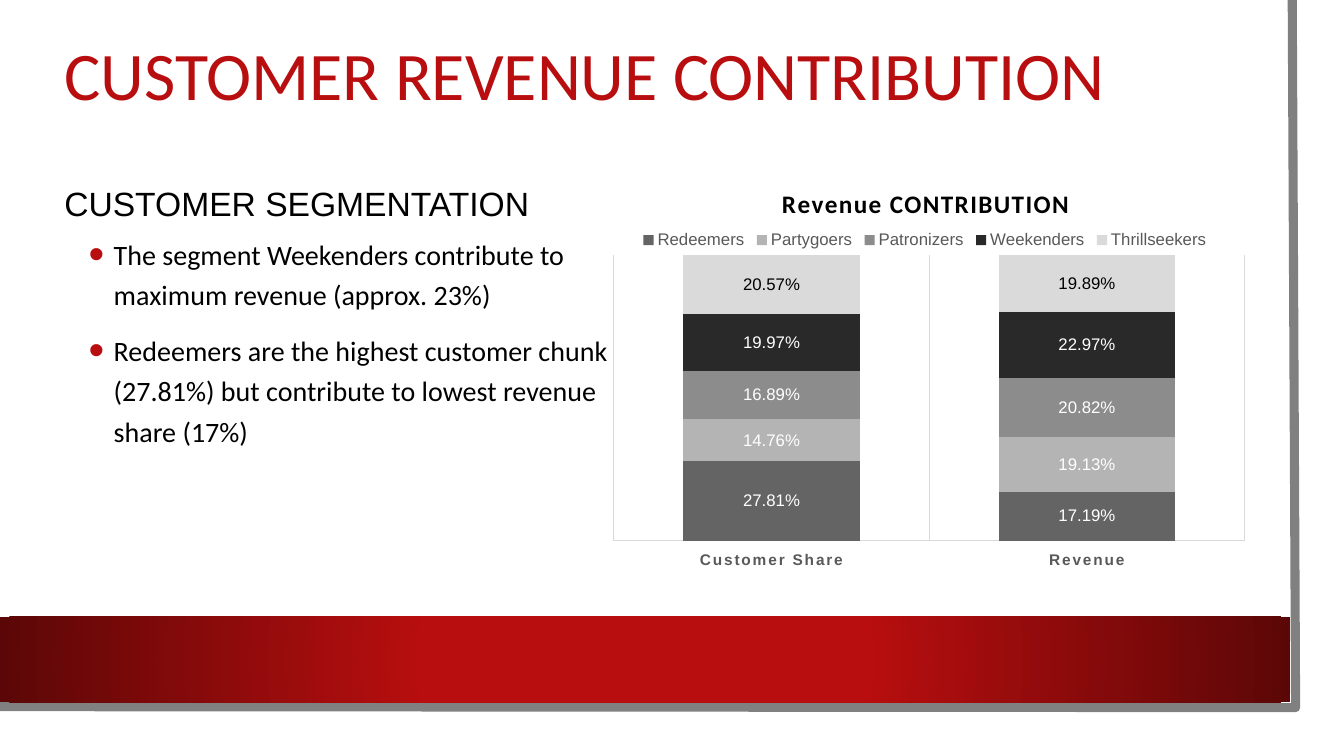
from pptx import Presentation
from pptx.chart.data import CategoryChartData
from pptx.dml.color import RGBColor
from pptx.enum.chart import (XL_CHART_TYPE, XL_LABEL_POSITION, XL_LEGEND_POSITION,
                             XL_TICK_LABEL_POSITION, XL_TICK_MARK)
from pptx.enum.shapes import MSO_SHAPE
from pptx.enum.text import MSO_ANCHOR
from pptx.oxml import parse_xml
from pptx.oxml.ns import nsdecls, qn
from pptx.util import Inches, Pt

WIDTH, HEIGHT = Inches(13.33), Inches(7.5)
RED = RGBColor(0xB8, 0x0E, 0x0F)
DARK_RED = RGBColor(0x5C, 0x07, 0x07)
BLACK = RGBColor(0, 0, 0)
WHITE = RGBColor(0xFF, 0xFF, 0xFF)
FRAME_GREY = RGBColor(0x80, 0x80, 0x80)
LABEL_GREY = RGBColor(0x59, 0x59, 0x59)
GRID_GREY = RGBColor(0xD9, 0xD9, 0xD9)

BULLETS = [
    "The segment Weekenders contribute to maximum revenue (approx. 23%)",
    "Redeemers are the highest customer chunk (27.81%) but contribute to "
    "lowest revenue share (17%)",
]
CATEGORIES = ["Customer Share", "Revenue"]
# Segment name, shares, fill, label colour
SEGMENTS = [
    ("Redeemers", (0.2781, 0.1719), RGBColor(0x64, 0x64, 0x64), WHITE),
    ("Partygoers", (0.1476, 0.1913), RGBColor(0xB4, 0xB4, 0xB4), WHITE),
    ("Patronizers", (0.1689, 0.2082), RGBColor(0x8C, 0x8C, 0x8C), WHITE),
    ("Weekenders", (0.1997, 0.2297), RGBColor(0x29, 0x29, 0x29), WHITE),
    ("Thrillseekers", (0.2057, 0.1989), RGBColor(0xDA, 0xDA, 0xDA), BLACK),
]


# The slide is a grid of 100 columns by 100 rows
def column(count):
    return round(WIDTH * count / 100)


def row(count):
    return round(HEIGHT * count / 100)


def cells(left, top, width, height):
    return column(left), row(top), column(width), row(height)


def apply(target, **values):
    for name, value in values.items():
        setattr(target, name, value)


def style_font(font, name, size, color, bold=False, spacing=0):
    apply(font, name=name, size=Pt(size), bold=bold)
    font.color.rgb = color
    if spacing:
        font._rPr.set("spc", str(spacing))


def add_panel(page, area, color):
    panel = page.shapes.add_shape(MSO_SHAPE.RECTANGLE, *cells(*area))
    panel.shadow.inherit = False
    panel.fill.solid()
    panel.fill.fore_color.rgb = color
    panel.line.fill.background()
    return panel


def add_glow(panel, inner, outer):
    """Radial gradient from the middle of the panel to its corners."""
    gradient = parse_xml(
        f'<a:gradFill {nsdecls("a")} rotWithShape="1"><a:gsLst>'
        f'<a:gs pos="34000"><a:srgbClr val="{inner}"/></a:gs>'
        f'<a:gs pos="100000"><a:srgbClr val="{outer}"/></a:gs></a:gsLst>'
        '<a:path path="circle"><a:fillToRect l="50000" t="50000" r="50000" b="50000"/>'
        '</a:path></a:gradFill>')
    solid = panel._element.spPr.find(qn("a:solidFill"))
    solid.getparent().replace(solid, gradient)


def add_frame(page, points, color, width):
    start, *rest = [(column(x), row(y)) for x, y in points]
    builder = page.shapes.build_freeform(*start)
    builder.add_line_segments(rest, close=False)
    frame = builder.convert_to_shape()
    frame.shadow.inherit = False
    frame.fill.background()
    frame.line.color.rgb = color
    frame.line.width = Pt(width)


def add_text_frame(page, area, anchor):
    frame = page.shapes.add_textbox(*cells(*area)).text_frame
    apply(frame, word_wrap=True, vertical_anchor=anchor)
    return frame


def write(para, text, font, **spacing):
    apply(para, **spacing)
    span = para.add_run()
    span.text = text
    style_font(span.font, *font)


def add_bullet(para, color):
    properties = para._p.get_or_add_pPr()
    properties.set("marL", str(Inches(0.49)))
    properties.set("indent", str(Inches(-0.25)))
    for mark in (f'<a:buClr {nsdecls("a")}><a:srgbClr val="{color}"/></a:buClr>',
                 f'<a:buSzPct {nsdecls("a")} val="160000"/>',
                 f'<a:buFont {nsdecls("a")} typeface="Arial"/>',
                 f'<a:buChar {nsdecls("a")} char="•"/>'):
        properties.append(parse_xml(mark))


def place(part, after=None, inner=False, **shares):
    """Fix a chart part's place as shares of the chart's size."""
    for layout in part.findall(qn("c:layout")):
        part.remove(layout)
    target = '<c:layoutTarget val="inner"/>' if inner else ""
    modes = "".join(f'<c:{side}Mode val="edge"/>' for side in "xy")
    sizes = "".join(f'<c:{side} val="{share}"/>' for side, share in shares.items())
    layout = parse_xml(f'<c:layout {nsdecls("c")}><c:manualLayout>{target}{modes}{sizes}'
                       '</c:manualLayout></c:layout>')
    if after:
        part.find(qn(after)).addnext(layout)
    else:
        part.insert(0, layout)


def style_series(series, fill, label_color):
    series.format.fill.solid()
    series.format.fill.fore_color.rgb = fill
    labels = series.data_labels
    apply(labels, show_value=True, position=XL_LABEL_POSITION.CENTER,
          number_format="0.00%", number_format_is_linked=False)
    style_font(labels.font, "Arial", 12, label_color)


def style_axes(chart):
    axis = chart.category_axis
    apply(axis, major_tick_mark=XL_TICK_MARK.NONE, minor_tick_mark=XL_TICK_MARK.NONE,
          tick_label_position=XL_TICK_LABEL_POSITION.LOW, has_major_gridlines=True)
    style_font(axis.tick_labels.font, "Arial", 11, LABEL_GREY, bold=True, spacing=120)
    for line in (axis.format.line, axis.major_gridlines.format.line):
        line.color.rgb = GRID_GREY
        line.width = Pt(0.75)
    apply(chart.value_axis, visible=False, has_major_gridlines=False)


def add_revenue_chart(page, area):
    data = CategoryChartData(number_format="0.00%")
    data.categories = CATEGORIES
    for name, shares, *_ in SEGMENTS:
        data.add_series(name, shares)
    chart = page.shapes.add_chart(
        XL_CHART_TYPE.COLUMN_STACKED_100, *cells(*area), data).chart
    style_font(chart.font, "Arial Narrow", 10, BLACK)

    # Title and legend
    apply(chart, has_title=True, has_legend=True)
    span = chart.chart_title.text_frame.paragraphs[0].add_run()
    span.text = "Revenue CONTRIBUTION"
    style_font(span.font, "Calibri", 18, BLACK, bold=True, spacing=100)
    place(chart.chart_title._element, after="c:tx", x=0.28, y=0.05)
    apply(chart.legend, position=XL_LEGEND_POSITION.TOP, include_in_layout=False)
    style_font(chart.legend.font, "Arial", 12, LABEL_GREY)
    place(chart.legend._element, after="c:legendPos", x=0.07, y=0.16, w=0.86, h=0.06)

    # Columns and axes
    plot = chart.plots[0]
    apply(plot, gap_width=79, overlap=100, vary_by_categories=False)
    for series, (_, _, fill, label_color) in zip(plot.series, SEGMENTS):
        style_series(series, fill, label_color)
    style_axes(chart)
    place(chart.element.xpath("c:chart/c:plotArea")[0], inner=True,
          x=0.036, y=0.227, w=0.941, h=0.687)


def main():
    deck = Presentation()
    apply(deck, slide_width=WIDTH, slide_height=HEIGHT)
    page = deck.slides.add_slide(deck.slide_layouts[6])

    # Backdrop
    add_panel(page, (0, 0, 98.25, 96.93), WHITE)
    add_frame(page, [(96.15, 0), (96.4, 93.6), (-0.2, 93.47)], FRAME_GREY, 6.5)
    add_glow(add_panel(page, (0, 81.6, 96, 11.33), RED), RED, DARK_RED)

    # Heading
    heading = add_text_frame(page, (4.05, 2.4, 85.3, 15.87), MSO_ANCHOR.MIDDLE)
    write(heading.paragraphs[0], "CUSTOMER REVENUE CONTRIBUTION",
          ("Calibri", 48.6, RED), line_spacing=0.9)

    # Findings
    findings = add_text_frame(page, (4.05, 18.27, 42.08, 51.47), MSO_ANCHOR.TOP)
    write(findings.paragraphs[0], "CUSTOMER SEGMENTATION", ("Arial", 24, BLACK),
          line_spacing=2.0, space_before=Pt(10))
    for text in BULLETS:
        para = findings.add_paragraph()
        write(para, text, ("Calibri", 20, BLACK), line_spacing=1.2,
              space_before=Pt(5), space_after=Pt(6))
        add_bullet(para, RED)

    add_revenue_chart(page, (43.88, 21.33, 49.88, 54.93))
    deck.save("out.pptx")


if __name__ == "__main__":
    main()
